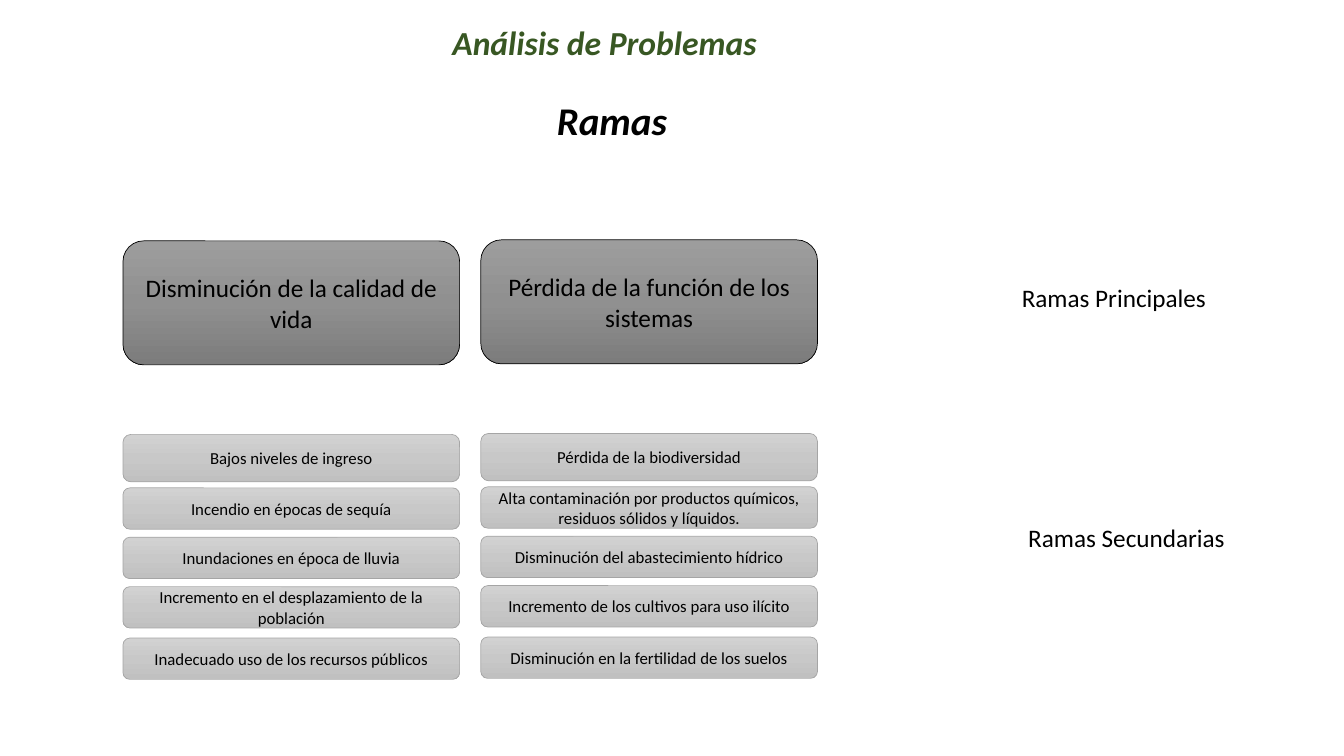
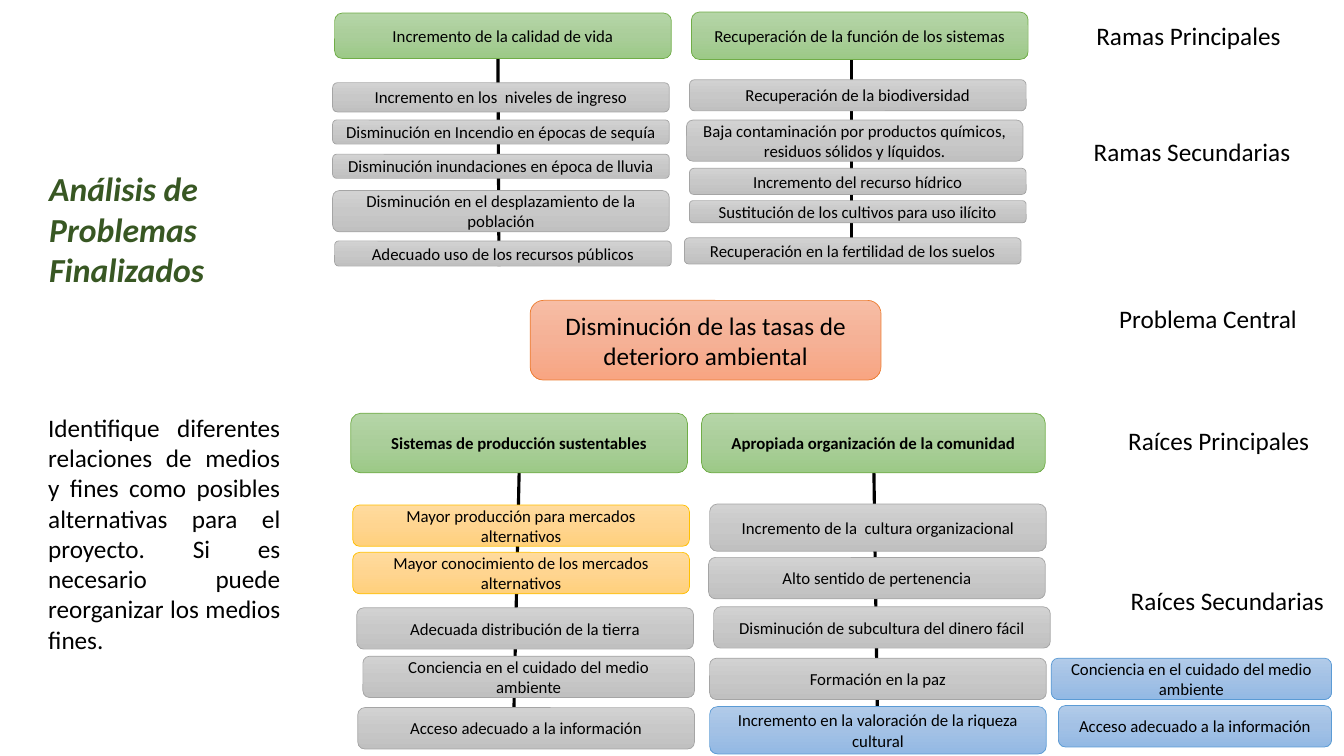
from copy import deepcopy
from dataclasses import dataclass

from pptx import Presentation
from pptx import util as u
from pptx.dml.color import RGBColor
from pptx.enum import shapes, text
from pptx.oxml.ns import qn
from pptx.oxml.xmlchemy import OxmlElement

# Square grid: every length below counts cells of a tenth of an inch
CELL = u.Inches(0.1)
SLIDE_COLUMNS, SLIDE_ROWS = 133.33, 75
BOX_WIDTH = 33.4
FONT = "Calibri"
COLORS = {"title": "385723", "text": "000000", "trunk": "000000"}

# Top, middle and bottom of each gradient, then the outline
TONES = {
    "dark": ("9D9D9D", "909090", "7C7C7C", "000000"),
    "gray": ("D2D2D2", "C8C8C8", "C0C0C0", "A5A5A5"),
    "green": ("B5D5A7", "AACE9A", "9CC987", "70AD47"),
    "blue": ("B1CBE9", "A3C1E5", "93B9E4", "5B9BD5"),
    "orange": ("F7BDA5", "F5B196", "F8A582", "ED7D31"),
    "amber": ("FFDB9E", "FFD590", "FFD07C", "FFC000"),
}
ALIGN = text.PP_ALIGN


@dataclass
class Branch:
    """A box below a heading, offset from the heading's top left corner."""
    words: str
    row: float
    height: float = 4.1
    shift: float = 0
    tone: str = "gray"
    width: float = BOX_WIDTH


def cells(*counts):
    return [round(count * CELL) for count in counts]


def rgb(name):
    return RGBColor.from_string(name)


def write(shape, words, size, align, color="text", bold=False, italic=False):
    shape.text_frame.word_wrap = True
    paragraph = shape.text_frame.paragraphs[0]
    paragraph.text = words
    paragraph.alignment = align
    font = paragraph.font
    font.name, font.size = FONT, u.Pt(size)
    font.bold, font.italic = bold, italic
    font.color.rgb = rgb(COLORS[color])


def add_label(slide, words, box, size=18, align=ALIGN.CENTER, **style):
    write(slide.shapes.add_textbox(*cells(*box)), words, size, align, **style)


def add_title(slide, words, box):
    add_label(slide, words, box, 24, ALIGN.LEFT, color="title", bold=True, italic=True)


def add_box(slide, words, box, tone="gray", size=12, bold=False):
    shape = slide.shapes.add_shape(shapes.MSO_SHAPE.ROUNDED_RECTANGLE, *cells(*box))
    shape.shadow.inherit = False
    *gradient, outline = TONES[tone]
    # A third stop joins the two of a new gradient
    shape.fill.gradient()
    shape.fill.gradient_angle = 270
    stops = shape._element.spPr.find(qn("a:gradFill")).find(qn("a:gsLst"))
    stops.insert(1, deepcopy(stops[0]))
    for stop, color, position in zip(shape.fill.gradient_stops, gradient, (0, 0.5, 1)):
        stop.color.rgb = rgb(color)
        stop.position = position
    shape.line.color.rgb = rgb(outline)
    shape.line.width = u.Pt(0.5)
    shape.text_frame.vertical_anchor = text.MSO_ANCHOR.MIDDLE
    write(shape, words, size, ALIGN.CENTER, bold=bold)


def add_trunk(slide, start, end):
    trunk = slide.shapes.add_connector(
        shapes.MSO_CONNECTOR.STRAIGHT, *cells(*start, *end))
    trunk.line.color.rgb = rgb(COLORS["trunk"])
    trunk.line.width = u.Pt(2.25)
    trunk._element.spPr.append(OxmlElement("a:effectLst"))


def add_family(slide, heading, box, branches, trunk=None, **style):
    """Heading with its branches below; trunk holds its two column offsets."""
    left, top, _, height = box
    if trunk:
        last = branches[-1]
        add_trunk(slide, (left + trunk[0], top + height),
                  (left + trunk[1], top + last.row + last.height))
    add_box(slide, heading, box, **style)
    for branch in branches:
        add_box(slide, branch.words,
                (left + branch.shift, top + branch.row, branch.width, branch.height),
                branch.tone)


def build_problems(slide):
    add_title(slide, "Análisis de Problemas", (43.9, 1.7, 33.6, 5))
    add_label(slide, "Ramas", (53.3, 9.1, 14.8, 5.7), 28, bold=True, italic=True)

    # Two families on the same rows
    families = [
        ("Disminución de la calidad de vida", 12.2, 23.9, [
            "Bajos niveles de ingreso",
            "Incendio en épocas de sequía",
            "Inundaciones en época de lluvia",
            "Incremento en el desplazamiento de la población",
            "Inadecuado uso de los recursos públicos"]),
        ("Pérdida de la función de los sistemas", 47.7, 23.8, [
            "Pérdida de la biodiversidad",
            "Alta contaminación por productos químicos, residuos sólidos y líquidos.",
            "Disminución del abastecimiento hídrico",
            "Incremento de los cultivos para uso ilícito",
            "Disminución en la fertilidad de los suelos"]),
    ]
    rows = [(19.2, 4.7), (24.5, 4.1), (29.4, 4.1), (34.3, 4.1), (39.4, 4.1)]
    for heading, left, top, names in families:
        branches = [Branch(name, *row) for name, row in zip(names, rows)]
        add_family(slide, heading, (left, top, BOX_WIDTH, 12.3), branches,
                   tone="dark", size=18)

    # Level names
    add_label(slide, "Ramas Principales", (98.4, 27.5, 24.2, 4))
    add_label(slide, "Ramas Secundarias", (99.3, 51.3, 24.9, 4))


def build_branches(slide):
    add_family(slide, "Incremento de la calidad de vida", (33.2, 1.3, BOX_WIDTH, 4.5), [
        Branch("Incremento en los  niveles de ingreso", 6.9, 2.9, -0.2),
        Branch("Disminución en Incendio en épocas de sequía", 10.6, 2.4, -0.2),
        Branch("Disminución inundaciones en época de lluvia", 14, 2.4, -0.2),
        Branch("Disminución en el desplazamiento de la población", 17.6, shift=-0.2),
        Branch("Adecuado uso de los recursos públicos", 22.6, 2.5),
    ], trunk=(16.2, 16.3), tone="green")
    add_family(slide, "Recuperación de la función de los sistemas",
               (68.6, 1.2, BOX_WIDTH, 4.7), [
        Branch("Recuperación de la biodiversidad", 6.7, 3.1, -0.2),
        Branch("Baja contaminación por productos químicos, residuos sólidos y líquidos.",
               10.7, shift=-0.5),
        Branch("Incremento del recurso hídrico", 15.5, 2.6, -0.2),
        Branch("Sustitución de los cultivos para uso ilícito", 18.7, 2.2, -0.2),
        Branch("Recuperación en la fertilidad de los suelos", 22.4, 2.6, -0.7),
    ], trunk=(15.9, 15.9), tone="green")


def build_roots(slide):
    care = "Conciencia en el cuidado del medio ambiente"
    access = "Acceso adecuado a la información"
    add_family(slide, "Sistemas de producción sustentables",
               (34.8, 41, BOX_WIDTH, 5.9), [
        Branch("Mayor producción para mercados alternativos", 9.1, shift=0.2, tone="amber"),
        Branch("Mayor conocimiento de los mercados alternativos", 13.8, shift=0.2,
               tone="amber"),
        Branch("Adecuada distribución de la tierra", 19.3, shift=0.6),
        Branch(care, 24.1, shift=1.2, width=32.9),
        Branch(access, 29.2, shift=0.7),
    ], trunk=(16.7, 16.1), tone="green", bold=True)
    add_family(slide, "Apropiada organización de la comunidad", (69.6, 41, 34.1, 5.9), [
        Branch("Incremento de la  cultura organizacional", 9, 4.7, 0.8),
        Branch("Alto sentido de pertenencia", 14.3, shift=0.7),
        Branch("Disminución de subcultura del dinero fácil", 19.2, shift=1.2),
        Branch("Formación en la paz", 24.3, shift=0.8),
        Branch("Incremento en la valoración de la riqueza cultural", 29.1, 4.7, 0.8, "blue"),
    ], trunk=(17.1, 17.5), tone="green", bold=True)

    # Shared means beside the roots
    add_box(slide, care, (104.3, 65.3, 27.8, 4.1), "blue")
    add_box(slide, access, (105, 70, 27.1, 4.1), "blue")


def build_solutions(slide):
    add_title(slide, "Análisis de Problemas Finalizados", (3.9, 16.2, 23, 13.1))
    add_label(slide, "Identifique diferentes relaciones de medios y fines como posibles "
              "alternativas para el proyecto. Si es necesario puede reorganizar los "
              "medios fines.", (3.8, 40.4, 25, 25.2), align=ALIGN.JUSTIFY)
    build_branches(slide)
    add_box(slide, "Disminución de las tasas de deterioro ambiental",
            (52.6, 29.8, 34.8, 7.9), "orange", 18)
    build_roots(slide)

    # Level names
    for words, left, top, width in [
        ("Ramas Principales", 105.8, 1.5, 24.2),
        ("Ramas Secundarias", 105.8, 13, 24.9),
        ("Problema Central", 109.7, 29.6, 20.3),
        ("Raíces Principales", 108.8, 41.7, 24.2),
        ("Raíces Secundarias", 109.7, 57.6, 24.1),
    ]:
        add_label(slide, words, (left, top, width, 4))


def main():
    presentation = Presentation()
    presentation.slide_width, presentation.slide_height = cells(SLIDE_COLUMNS, SLIDE_ROWS)
    blank = presentation.slide_layouts[6]
    for build in (build_problems, build_solutions):
        build(presentation.slides.add_slide(blank))
    presentation.save("out.pptx")


if __name__ == "__main__":
    main()
